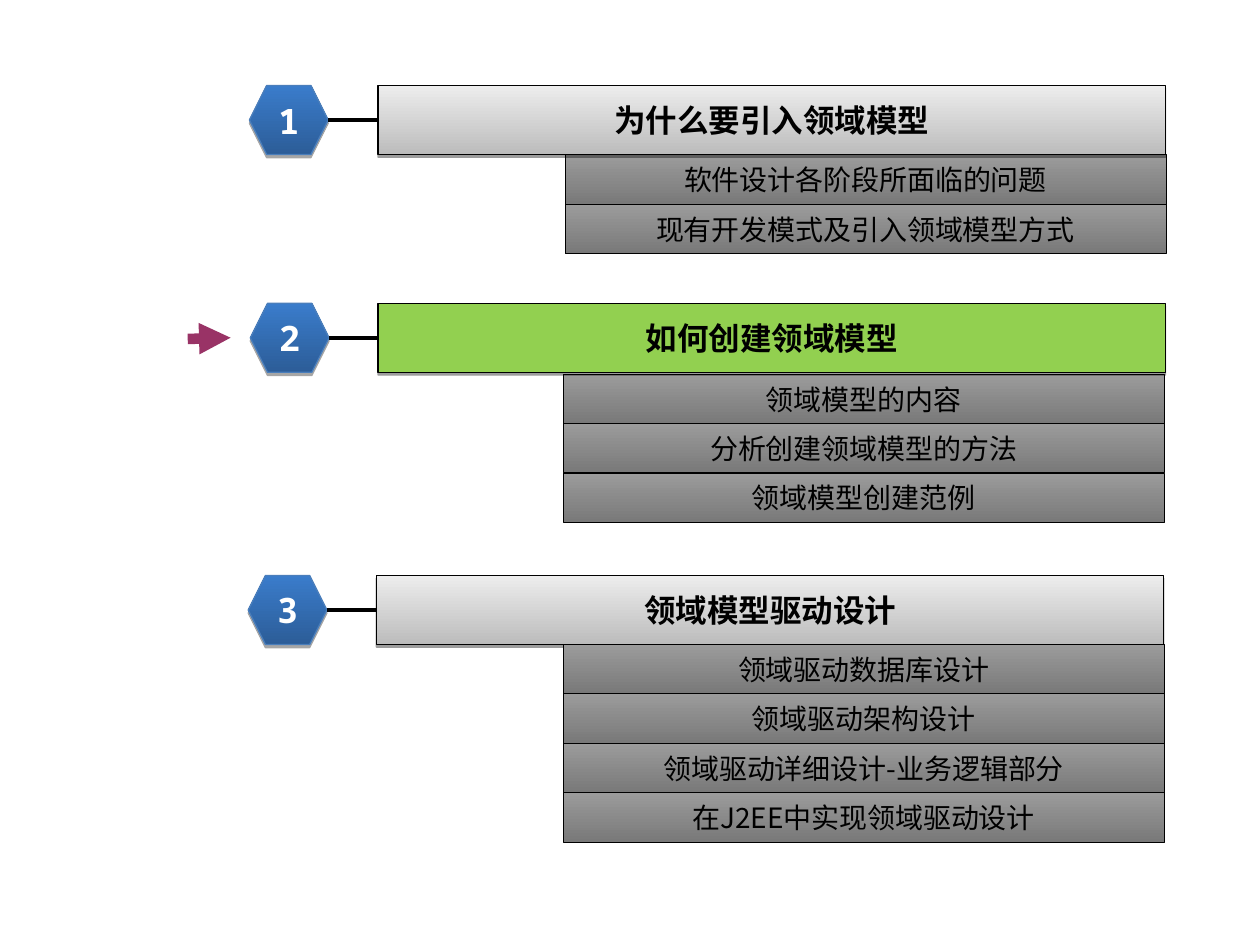
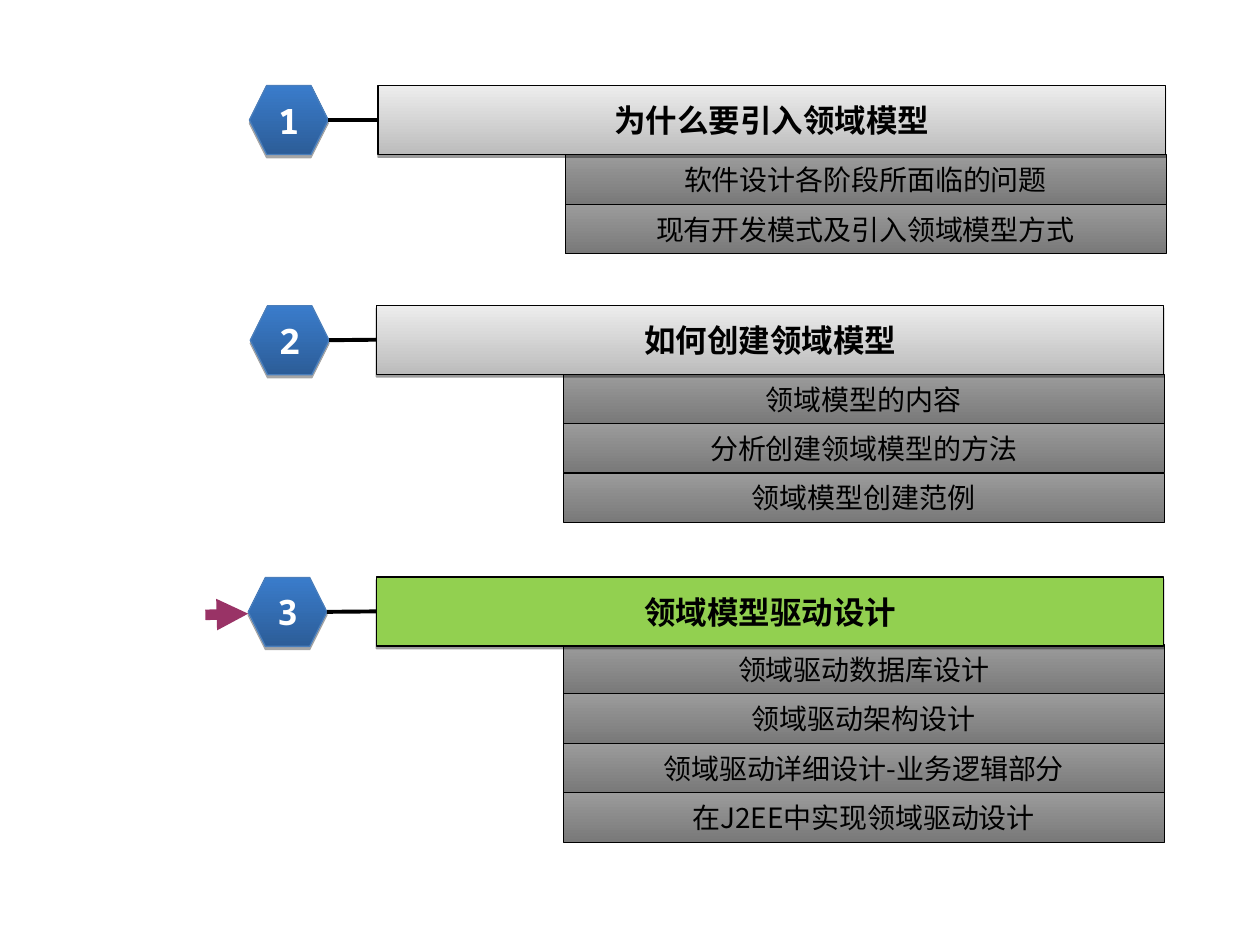
from dataclasses import dataclass, replace

from lxml import etree
from pptx import Presentation
from pptx import util as u
from pptx.dml.color import RGBColor
from pptx.enum import shapes, text
from pptx.oxml import ns

DECK_WIDTH, DECK_HEIGHT = u.Inches(10), u.Inches(7.5)
COLUMN, ROW = DECK_WIDTH / 100, DECK_HEIGHT / 100
COLORS = {
    "ink": "000000", "paper": "FFFFFF", "arrow": "993366", "current": "92D050",
    "badge_low": "2C5D98", "badge_high": "3A7CCB", "badge_edge": "4A7EBB",
    "bar_low": "BCBCBC", "bar_high": "EDEDED",
    "topic_high": "9B9B9B", "topic_low": "797979",
}
BADGE_WIDTH, BAR_WIDTH, TOPIC_WIDTH = 6.25, 62.5, 47.7
BAR_HEIGHT, TOPIC_HEIGHT = 7.3, 5.23
ARROW_LENGTH, ARROW_RISE = 3.4, 0.13


@dataclass(frozen=True)
class Style:
    shape: shapes.MSO_SHAPE
    fill: tuple[str, ...]
    angle: int
    edge: str
    edge_width: float
    font: str
    size: int
    ink: str
    bold: bool
    shadow_alpha: int = 0
    shadow_distance: float = 0


@dataclass(frozen=True)
class Section:
    number: int
    heading: str
    topics: tuple[str, ...]
    badge_left: float
    badge_top: float
    bar_left: float
    bar_top: float
    topic_left: float
    topic_top: float
    current: bool = False
    bar_in_front: bool = True


@dataclass(frozen=True)
class Arrow:
    left: float
    top: float


BADGE = Style(shapes.MSO_SHAPE.HEXAGON, ("badge_low", "badge_high"), 90, "badge_edge",
              0.75, "Noto Sans Mono", 20, "paper", True, 35, 1.8)
BAR = Style(shapes.MSO_SHAPE.RECTANGLE, ("bar_low", "bar_high"), 90, "ink",
            0.75, "Noto Sans CJK SC", 18, "ink", True, 38, 1.6)
CURRENT_BAR = replace(BAR, fill=("current",))
TOPIC = Style(shapes.MSO_SHAPE.RECTANGLE, ("topic_high", "topic_low"), 270, "ink",
              0.5, "Noto Sans CJK SC", 16, "ink", False)

WHY = Section(1, "为什么要引入领域模型",
              ("软件设计各阶段所面临的问题", "现有开发模式及引入领域模型方式"),
              19.8, 9.05, 30, 9.05, 44.85, 16.4)
HOW = Section(2, "如何创建领域模型",
              ("领域模型的内容", "分析创建领域模型的方法", "领域模型创建范例"),
              19.87, 32.1, 30, 32.1, 44.7, 39.6)
DRIVEN = Section(3, "领域模型驱动设计",
                 ("领域驱动数据库设计", "领域驱动架构设计",
                  "领域驱动详细设计-业务逻辑部分", "在J2EE中实现领域驱动设计"),
                 19.7, 60.9, 29.87, 60.9, 44.7, 68.2)
PAGES = (
    ((WHY, replace(HOW, current=True), replace(DRIVEN, bar_in_front=False)),
     Arrow(14.9, 35.87)),
    ((WHY, replace(HOW, badge_top=32.35, bar_left=29.87, bar_top=32.3),
      replace(DRIVEN, badge_top=61.1, bar_top=61.05, current=True)),
     Arrow(16.3, 65.07)),
)


def color(name: str) -> RGBColor:
    return RGBColor.from_string(COLORS[name])


def across(columns: float) -> int:
    return round(columns * COLUMN)


def down(rows: float) -> int:
    return round(rows * ROW)


def child(parent, tag: str, **attributes: str):
    return etree.SubElement(parent, ns.qn(tag), attributes)


def add_shadow(box, style: Style) -> None:
    effects = box._element.spPr.find(ns.qn("a:effectLst"))
    shadow = child(effects, "a:outerShdw", blurRad="0",
                   dist=str(u.Pt(style.shadow_distance)), dir="5400000",
                   algn="ctr", rotWithShape="0")
    tone = child(shadow, "a:srgbClr", val=COLORS["ink"])
    child(tone, "a:alpha", val=str(style.shadow_alpha * 1000))


def add_box(page, style: Style, label: str, left: float, top: float,
            width: float, height: float) -> None:
    box = page.shapes.add_shape(style.shape, across(left), down(top),
                                across(width), down(height))
    box.shadow.inherit = False
    if style.shadow_alpha:
        add_shadow(box, style)
    if len(style.fill) == 1:
        box.fill.solid()
        box.fill.fore_color.rgb = color(style.fill[0])
    else:
        box.fill.gradient()
        box.fill.gradient_angle = style.angle
        for stop, name in zip(box.fill.gradient_stops, style.fill):
            stop.color.rgb = color(name)
    box.line.color.rgb = color(style.edge)
    box.line.width = u.Pt(style.edge_width)
    frame = box.text_frame
    frame.text = label
    frame.vertical_anchor = text.MSO_ANCHOR.MIDDLE
    para = frame.paragraphs[0]
    para.alignment = text.PP_ALIGN.CENTER
    span = para.runs[0]
    span.font.name = style.font
    span.font.size = u.Pt(style.size)
    span.font.bold = style.bold
    span.font.color.rgb = color(style.ink)
    child(span._r.get_or_add_rPr(), "a:ea", typeface=style.font)


def add_line(page, start: tuple[float, float], end: tuple[float, float],
             ink: str, width: float, arrow: bool = False) -> None:
    line = page.shapes.add_connector(shapes.MSO_CONNECTOR.STRAIGHT,
                                     across(start[0]), down(start[1]),
                                     across(end[0]), down(end[1]))
    line.line.color.rgb = color(ink)
    line.line.width = u.Pt(width)
    if arrow:
        child(line.line._get_or_add_ln(), "a:tailEnd", type="triangle")
    child(line._element.spPr, "a:effectLst")


def add_topics(page, section: Section) -> None:
    for index, topic in enumerate(section.topics):
        add_box(page, TOPIC, topic, section.topic_left,
                section.topic_top + index * TOPIC_HEIGHT, TOPIC_WIDTH, TOPIC_HEIGHT)


def add_bar(page, section: Section) -> None:
    add_box(page, CURRENT_BAR if section.current else BAR, section.heading,
            section.bar_left, section.bar_top, BAR_WIDTH, BAR_HEIGHT)


def add_section(page, section: Section) -> None:
    add_box(page, BADGE, str(section.number), section.badge_left, section.badge_top,
            BADGE_WIDTH, BAR_HEIGHT)
    add_line(page,
             (section.badge_left + BADGE_WIDTH, section.badge_top + BAR_HEIGHT / 2),
             (section.bar_left, section.bar_top + BAR_HEIGHT / 2), "ink", 2.25)
    layers = (add_topics, add_bar) if section.bar_in_front else (add_bar, add_topics)
    for add_layer in layers:
        add_layer(page, section)


def main() -> None:
    deck = Presentation()
    deck.slide_width, deck.slide_height = DECK_WIDTH, DECK_HEIGHT
    blank = deck.slide_layouts[6]
    for sections, arrow in PAGES:
        page = deck.slides.add_slide(blank)
        for section in sections:
            add_section(page, section)
        add_line(page, (arrow.left, arrow.top),
                 (arrow.left + ARROW_LENGTH, arrow.top - ARROW_RISE), "arrow", 6, True)
    deck.save("out.pptx")


if __name__ == "__main__":
    main()
